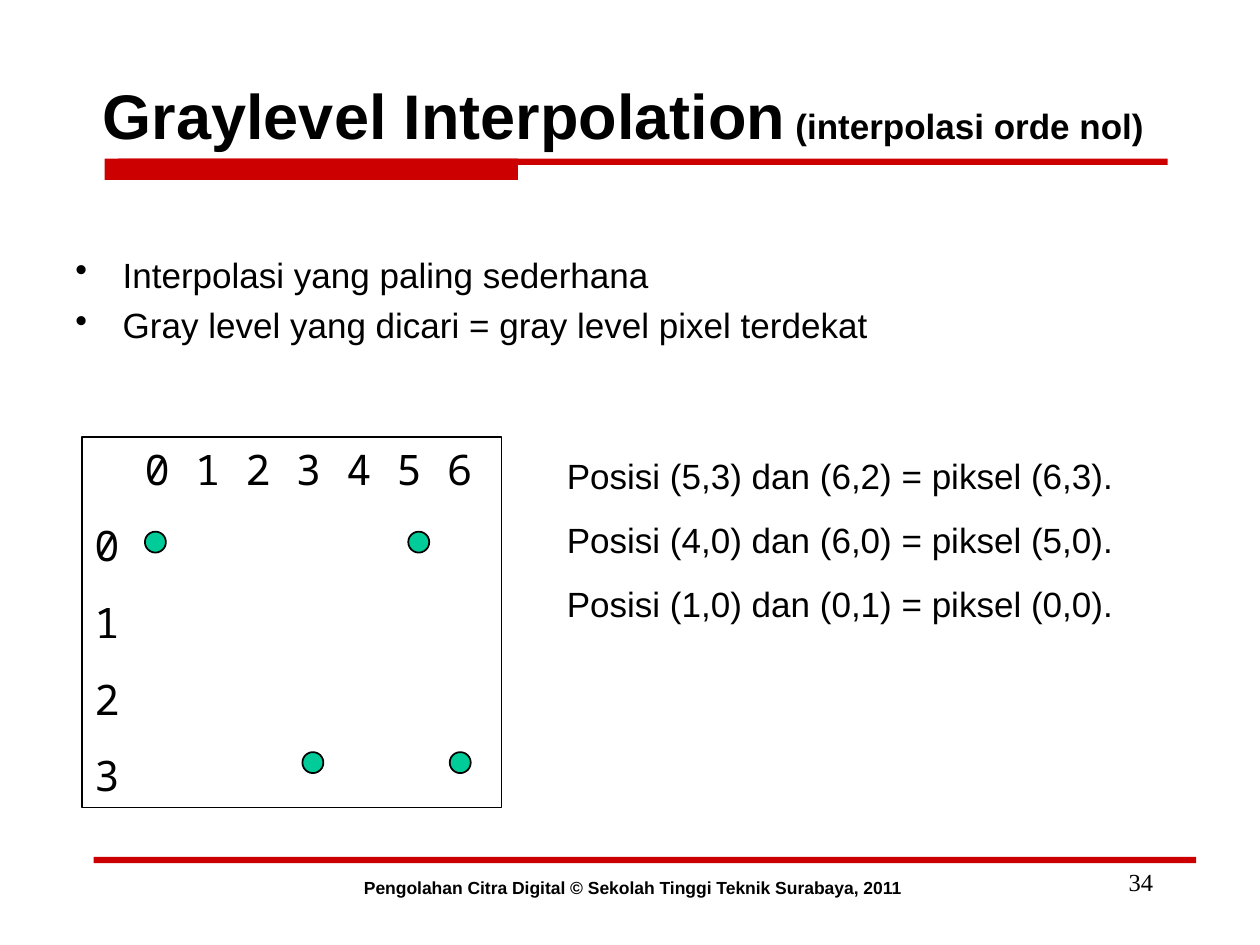
from lxml.etree import SubElement
from pptx import Presentation
from pptx.dml.color import RGBColor
from pptx.enum.shapes import MSO_SHAPE
from pptx.enum.text import MSO_ANCHOR, PP_ALIGN
from pptx.oxml.ns import qn
from pptx.util import Pt

COLORS = {"text": "000000", "rule": "CC0000", "pixel": "00CC99"}


def color(name):
    return RGBColor.from_string(COLORS[name])


def write_text(shape, lines, size, font="Arial", bold=False, align=PP_ALIGN.LEFT,
               anchor=MSO_ANCHOR.TOP, gap=0):
    """Fill a shape with one paragraph per line, gap points apart."""
    frame = shape.text_frame
    frame.word_wrap = True
    frame.vertical_anchor = anchor
    for index, line in enumerate(lines):
        paragraph = frame.add_paragraph() if index else frame.paragraphs[0]
        paragraph.text = line
        paragraph.alignment = align
        paragraph.space_before = Pt(gap if index else 0)
        paragraph.font.size = Pt(size)
        paragraph.font.name = font
        paragraph.font.bold = bold
        paragraph.font.color.rgb = color("text")
    return frame.paragraphs


def add_text(slide, left, top, width, height, lines, size, **style):
    box = slide.shapes.add_textbox(Pt(left), Pt(top), Pt(width), Pt(height))
    return write_text(box, lines, size, **style)


def indent(paragraph, left, first=0):
    properties = paragraph._p.get_or_add_pPr()
    properties.set("marL", str(Pt(left)))
    properties.set("indent", str(Pt(first)))
    return properties


def add_bullets(slide, left, top, width, height, lines, size):
    box = slide.shapes.add_textbox(Pt(left), Pt(top), Pt(width), Pt(height))
    for paragraph in box.text_frame.paragraphs:
        paragraph.text = ""
    for paragraph in write_text(box, lines, size, gap=5):
        properties = indent(paragraph, 27, -27)
        bullet = SubElement(properties, qn("a:buChar"), char="•")
        properties.find(qn("a:defRPr")).addprevious(bullet)


def add_shape(slide, kind, left, top, width, height, fill=None, outlined=False):
    shape = slide.shapes.add_shape(kind, Pt(left), Pt(top), Pt(width), Pt(height))
    shape.shadow.inherit = False
    if fill:
        shape.fill.solid()
        shape.fill.fore_color.rgb = color(fill)
    else:
        shape.fill.background()
    if outlined:
        shape.line.color.rgb = color("text")
        shape.line.width = Pt(1)
    else:
        shape.line.fill.background()
    return shape


def add_title(slide):
    title, = add_text(slide, 51.8, 32.4, 612, 66.2, ["Graylevel Interpolation"], 36,
                      bold=True, anchor=MSO_ANCHOR.MIDDLE)
    subtitle = title.add_run()
    subtitle.text = " (interpolasi orde nol)"
    subtitle.font.size = Pt(20)


def add_pixel_grid(slide):
    grid = add_shape(slide, MSO_SHAPE.RECTANGLE, 46.8, 249.8, 239.8, 211.7, outlined=True)
    header, *_ = write_text(grid, ["0 1 2 3 4 5 6", "0", "1", "2", "3"], 24,
                            font="Noto Sans Mono", gap=15)
    indent(header, 28.8)
    for left, top in ((82.8, 303.8), (233.3, 303.8), (172.8, 429.8), (257, 429.8)):
        add_shape(slide, MSO_SHAPE.OVAL, left, top, 12, 12, "pixel", outlined=True)


def main():
    presentation = Presentation()
    presentation.slide_width, presentation.slide_height = Pt(720), Pt(540)
    slide = presentation.slides.add_slide(presentation.slide_layouts[6])

    add_text(slide, 516.2, 491.8, 149.8, 36, ["34"], 14,
             font="Times New Roman", align=PP_ALIGN.RIGHT)
    add_title(slide)
    for left, top, width, height in ((67.5, 90.7, 599.8, 3.6),
                                     (59.8, 90.7, 236.2, 12.2),
                                     (53.5, 489.6, 630, 3.6)):
        add_shape(slide, MSO_SHAPE.RECTANGLE, left, top, width, height, "rule")
    add_text(slide, 126, 497.5, 470.9, 19.4,
             ["Pengolahan Citra Digital © Sekolah Tinggi Teknik Surabaya, 2011"], 10,
             bold=True, align=PP_ALIGN.CENTER)
    add_bullets(slide, 36, 141.1, 660, 96.5,
                ["Interpolasi yang paling sederhana",
                 "Gray level yang dicari = gray level pixel terdekat"], 20)
    add_pixel_grid(slide)
    add_text(slide, 316.8, 256.3, 378, 141.1,
             ["Posisi (5,3) dan (6,2) = piksel (6,3).",
              "Posisi (4,0) dan (6,0) = piksel (5,0).",
              "Posisi (1,0) dan (0,1) = piksel (0,0)."], 20, gap=12.5)

    presentation.save("out.pptx")


if __name__ == "__main__":
    main()
